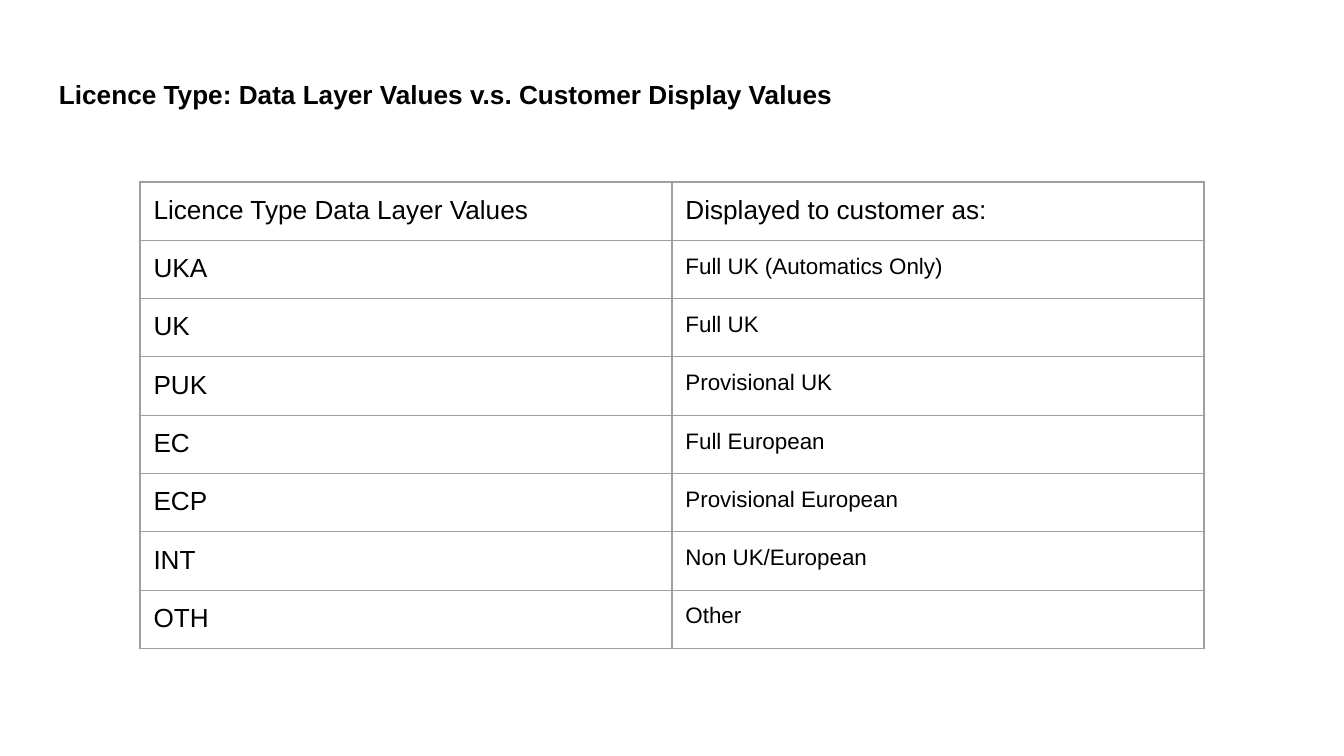
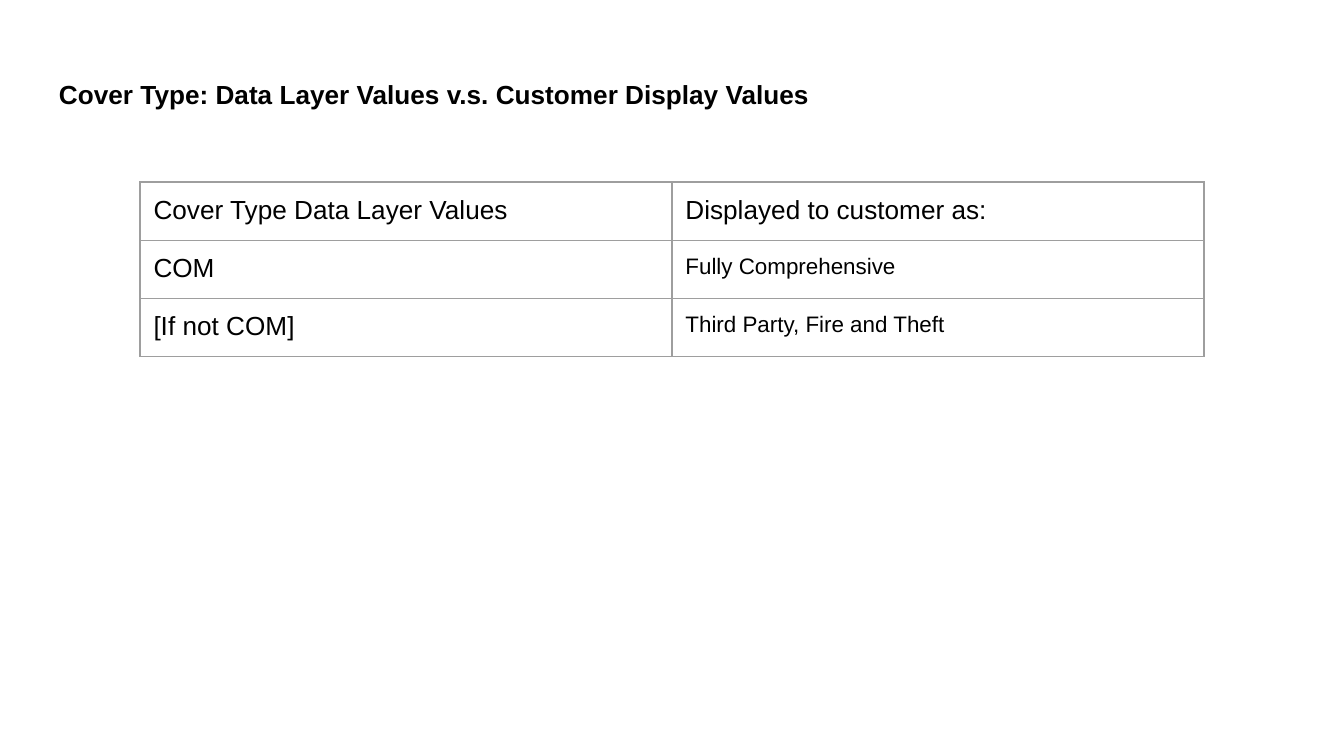
"""Build two slides that compare data layer values with customer display values."""
from dataclasses import dataclass

from lxml.etree import SubElement
from pptx import Presentation
from pptx.dml.color import RGBColor as Rgb
from pptx.enum.text import MSO_ANCHOR as Anchor
from pptx.oxml.ns import qn
from pptx.util import Emu, Inches, Pt

COLORS = {"paper": "FFFFFF", "ink": "000000", "rule": "9E9E9E"}
FONT = "Arial"
LARGE, SMALL = 14, 12
RULE_WIDTH = Pt(0.75)
INSET = Inches(0.1)
SLIDE_WIDTH = Inches(10)
SLIDE_HEIGHT = Emu(SLIDE_WIDTH * 9 // 16)
GRID = 100


@dataclass(frozen=True)
class Area:
    """Place on a grid of 100 columns and 100 rows."""
    column: float
    row: float
    columns: float
    rows: float

    def lengths(self) -> tuple[Emu, Emu, Emu, Emu]:
        """Return left, top, width and height."""
        return (across(self.column), down(self.row),
                across(self.columns), down(self.rows))


@dataclass(frozen=True)
class Mapping:
    """Data layer codes of one subject and the wording customers see."""
    subject: str
    entries: tuple[tuple[str, str], ...]


TITLE_AREA = Area(3.41, 8.65, 60.7, 11.13)
TABLE_COLUMN, TABLE_ROW = 10.42, 24.07
VALUE_COLUMNS, VALUE_ROWS = 39.58, 7.41

MAPPINGS = (
    Mapping("Licence Type", (
        ("UKA", "Full UK (Automatics Only)"),
        ("UK", "Full UK"),
        ("PUK", "Provisional UK"),
        ("EC", "Full European"),
        ("ECP", "Provisional European"),
        ("INT", "Non UK/European"),
        ("OTH", "Other"),
    )),
    Mapping("Cover Type", (
        ("COM", "Fully Comprehensive"),
        ("[If not COM]", "Third Party, Fire and Theft"),
    )),
)


def across(columns: float) -> Emu:
    """Convert grid columns to a length."""
    return Emu(round(SLIDE_WIDTH * columns / GRID))


def down(rows: float) -> Emu:
    """Convert grid rows to a length."""
    return Emu(round(SLIDE_HEIGHT * rows / GRID))


def write(holder, text: str, *, size: int = LARGE, bold: bool = False,
          color: str = "ink", highlight: str | None = None) -> None:
    """Put formatted text with even insets in a text frame or table cell."""
    holder.margin_left = holder.margin_right = INSET
    holder.margin_top = holder.margin_bottom = INSET
    holder.vertical_anchor = Anchor.TOP
    frame = getattr(holder, "text_frame", holder)
    paragraph = frame.paragraphs[0]
    paragraph.line_spacing = 1.0
    paragraph.space_before = paragraph.space_after = Pt(0)
    run = paragraph.add_run()
    run.text = text
    run.font.size = Pt(size)
    run.font.bold = bold
    run.font.color.rgb = Rgb.from_string(COLORS[color])
    properties = run._r.get_or_add_rPr()
    if highlight:
        marker = SubElement(properties, qn("a:highlight"))
        SubElement(marker, qn("a:srgbClr"), val=COLORS[highlight])
    for script in ("a:latin", "a:ea", "a:cs"):
        SubElement(properties, qn(script), typeface=FONT)


def rule_cell(cell) -> None:
    """Draw all four borders of a cell and clear its fill."""
    properties = cell._tc.get_or_add_tcPr()
    for side in ("a:lnL", "a:lnR", "a:lnT", "a:lnB"):
        border = SubElement(properties, qn(side), w=str(RULE_WIDTH))
        fill = SubElement(border, qn("a:solidFill"))
        SubElement(fill, qn("a:srgbClr"), val=COLORS["rule"])
    cell.fill.background()


def add_title(slide, text: str) -> None:
    """Add the bold slide title."""
    frame = slide.shapes.add_textbox(*TITLE_AREA.lengths()).text_frame
    frame.word_wrap = True
    write(frame, text, bold=True)


def add_value_table(slide, mapping: Mapping) -> None:
    """Add the table of codes and display values."""
    headings = (f"{mapping.subject} Data Layer Values", "Displayed to customer as:")
    lines = (headings, *mapping.entries)
    area = Area(TABLE_COLUMN, TABLE_ROW,
                VALUE_COLUMNS * len(headings), VALUE_ROWS * len(lines))
    table = slide.shapes.add_table(len(lines), len(headings), *area.lengths()).table
    table.first_row = table.horz_banding = False
    style = table._tbl.tblPr.find(qn("a:tableStyleId"))
    table._tbl.tblPr.remove(style)
    for row, line in enumerate(lines):
        for column, text in enumerate(line):
            cell = table.cell(row, column)
            rule_cell(cell)
            if row and column:
                write(cell, text, size=SMALL, highlight="paper")
            else:
                write(cell, text)


def add_mapping_slide(deck, mapping: Mapping) -> None:
    """Add one slide with its title and table."""
    blank = deck.slide_layouts[6]
    slide = deck.slides.add_slide(blank)
    slide.background.fill.solid()
    slide.background.fill.fore_color.rgb = Rgb.from_string(COLORS["paper"])
    add_title(slide, f"{mapping.subject}: Data Layer Values v.s. Customer Display Values")
    add_value_table(slide, mapping)


def main() -> None:
    """Build and save the presentation."""
    deck = Presentation()
    deck.slide_width, deck.slide_height = SLIDE_WIDTH, SLIDE_HEIGHT
    for mapping in MAPPINGS:
        add_mapping_slide(deck, mapping)
    deck.save("out.pptx")


if __name__ == "__main__":
    main()
